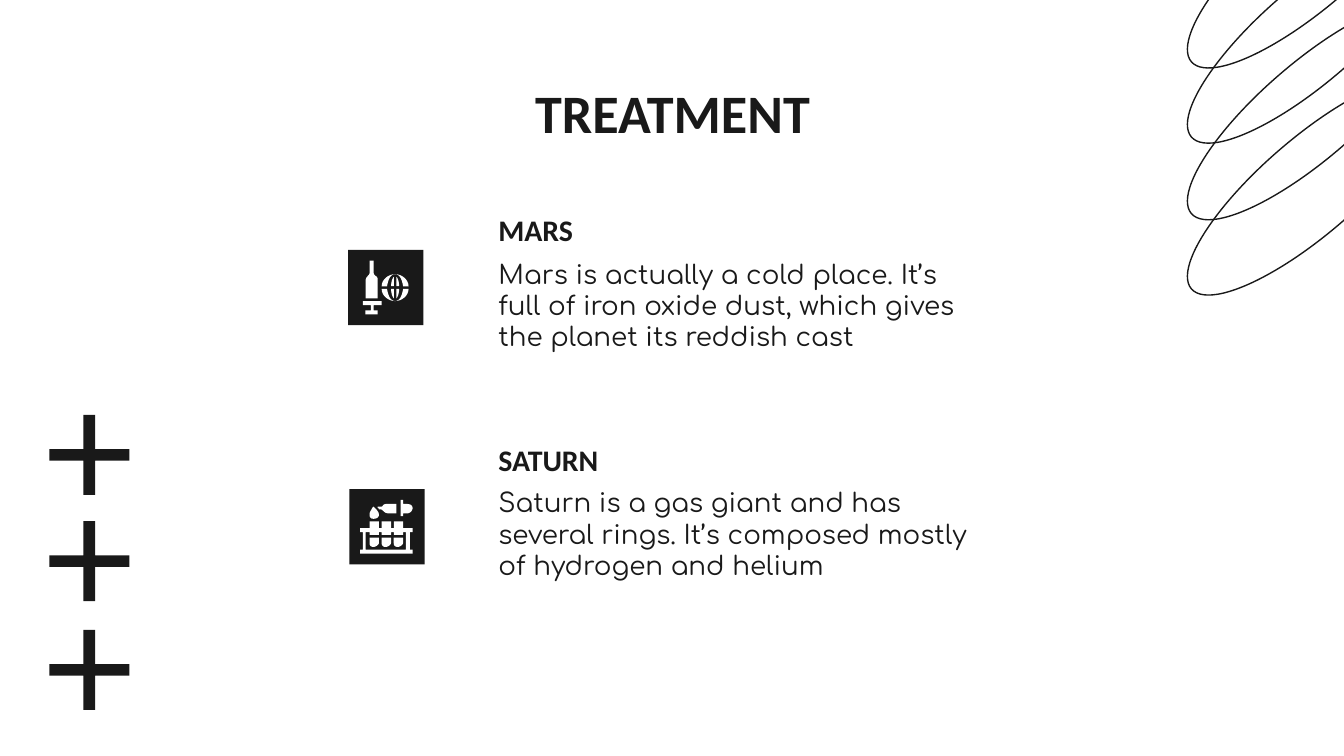
"""Build the treatment slide with two icon-led topics."""
from pptx import Presentation
from pptx.dml.color import RGBColor
from pptx.enum.shapes import MSO_SHAPE
from pptx.enum.text import MSO_ANCHOR, PP_ALIGN
from pptx.util import Inches, Pt

INK = RGBColor(0x19, 0x19, 0x19)
WHITE = RGBColor(0xFF, 0xFF, 0xFF)
OVAL, PLUS, RECT = MSO_SHAPE.OVAL, MSO_SHAPE.MATH_PLUS, MSO_SHAPE.RECTANGLE
TOP, BOTTOM = MSO_ANCHOR.TOP, MSO_ANCHOR.BOTTOM
LEFT, CENTER = PP_ALIGN.LEFT, PP_ALIGN.CENTER
STEPS = 8

deck = Presentation()
deck.slide_width = Inches(10)
deck.slide_height = Inches(10 * 9 / 16)
slide = deck.slides.add_slide(deck.slide_layouts[6])
shapes = slide.shapes


def trace(group, *loops):
    """Fill closed loops; pairs are corners, six numbers are a cubic curve."""
    pen = None
    for loop in loops:
        points = [loop[0]]
        for part in loop[1:]:
            if len(part) == 2:
                points.append(part)
                continue
            knots = [points[-1], part[:2], part[2:4], part[4:]]
            for step in range(1, STEPS + 1):
                t = step / STEPS
                weights = ((1 - t) ** 3, 3 * t * (1 - t) ** 2, 3 * t * t * (1 - t), t ** 3)
                points.append(tuple(sum(w * k[axis] for w, k in zip(weights, knots))
                                    for axis in (0, 1)))
        spots = [(Inches(x), Inches(y)) for x, y in points]
        if pen is None:
            pen = group.shapes.build_freeform(*spots[0])
        else:
            pen.move_to(*spots[0])
        pen.add_line_segments(spots[1:], close=True)
    form = pen.convert_to_shape()
    form.shadow.inherit = False
    form.fill.solid()
    form.fill.fore_color.rgb = WHITE
    form.line.fill.background()


def write(words, box, size, font, bold=False, anchor=TOP, align=LEFT):
    frame = shapes.add_textbox(*map(Inches, box)).text_frame
    frame.word_wrap = True
    frame.vertical_anchor = anchor
    frame.margin_left = frame.margin_right = Inches(0.1)
    frame.margin_top = frame.margin_bottom = Inches(0.1)
    line = frame.paragraphs[0]
    line.text = words
    line.alignment = align
    line.font.size, line.font.name, line.font.bold = Pt(size), font, bold
    line.font.color.rgb = INK


rings = shapes.add_group_shape()
for top in (0.47, 1.03, -0.1, -0.66):
    ring = rings.shapes.add_shape(OVAL, Inches(8.58), Inches(top), Inches(2.34), Inches(0.71))
    ring.rotation = 139.2
    ring.shadow.inherit = False
    ring.fill.background()
    ring.line.color.rgb = INK
    ring.line.width = Pt(0.75)

for top in (2.98, 3.77, 4.58):
    plus = shapes.add_shape(PLUS, Inches(0.26), Inches(top), Inches(0.81), Inches(0.81))
    plus.adjustments[0] = 0.107
    plus.shadow.inherit = False
    plus.fill.solid()
    plus.fill.fore_color.rgb = INK
    plus.line.fill.background()

write("TREATMENT", (0.79, 0.49, 8.43, 0.63), 29, "Calibri", True, align=CENTER)
topics = [
    ("MARS", 1.46, 1.82, "Mars is actually a cold place. It’s full of iron oxide dust, "
     "which gives the planet its reddish cast"),
    ("SATURN", 3.17, 3.52, "Saturn is a gas giant and has several rings. It’s composed "
     "mostly of hydrogen and helium"),
]
for name, head, body, words in topics:
    write(name, (3.61, head, 3.79, 0.48), 16, "Calibri", True, BOTTOM)
    write(words, (3.61, body, 3.79, 1.05), 14, "Comfortaa")

icons = []
for left, top in ((2.59, 1.86), (2.6, 3.64)):
    icon = shapes.add_group_shape()
    tile = icon.shapes.add_shape(RECT, Inches(left), Inches(top), Inches(0.56), Inches(0.56))
    tile.shadow.inherit = False
    tile.fill.solid()
    tile.fill.fore_color.rgb = INK
    tile.line.fill.background()
    icons.append(icon)
needle, lab = icons

outer = [(2.94, 2.04), (2.89, 2.04, 2.84, 2.08, 2.84, 2.13), (2.88, 2.13),
         (2.89, 2.07, 2.91, 2.04, 2.94, 2.04)]
inner = [(2.93, 2.06), (2.92, 2.07, 2.91, 2.1, 2.91, 2.13), (2.93, 2.13)]
for flip_x in (False, True):
    for flip_y in (False, True):
        mirror = ((5.88, -1) if flip_x else (0, 1), (4.28, -1) if flip_y else (0, 1))
        for wedge in (outer, inner):
            trace(needle, [tuple(mirror[i % 2][0] + mirror[i % 2][1] * value
                                 for i, value in enumerate(part)) for part in wedge])

trace(needle, [(2.75, 1.94), (2.75, 2.03), (2.75, 2.03, 2.75, 2.04, 2.74, 2.05),
               (2.73, 2.06, 2.72, 2.07, 2.72, 2.09), (2.72, 2.22), (2.81, 2.22), (2.81, 2.09),
               (2.81, 2.07, 2.81, 2.06, 2.79, 2.05), (2.78, 2.04, 2.78, 2.03, 2.78, 2.03),
               (2.78, 1.94)])
trace(needle, [(2.7, 2.24), (2.7, 2.27), (2.76, 2.27), (2.76, 2.31), (2.72, 2.31), (2.72, 2.34),
               (2.81, 2.34), (2.81, 2.31), (2.78, 2.31), (2.78, 2.27), (2.84, 2.27), (2.84, 2.24)])

hole = [(3.02, 3.96), (3.02, 4.09), (2.72, 4.09), (2.72, 3.96)]
rack = [(3.07, 3.93), (3.07, 3.96), (3.05, 3.96), (3.05, 4.09), (3.07, 4.09), (3.07, 4.12),
        (2.68, 4.12), (2.68, 4.09), (2.7, 4.09), (2.7, 3.96), (2.68, 3.96), (2.68, 3.93)]
for x in (2.75, 2.84, 2.93):
    end = x + 0.07
    hole += [(x, 3.96), (x, 3.98), (end, 3.98), (end, 3.96)]
    rack += [(x, 3.93), (x, 3.88), (end, 3.88), (end, 3.93)]
    trace(lab, [(x, 4), (x, 4.04), (x, 4.06, x + 0.01, 4.07, x + 0.03, 4.07),
                (x + 0.05, 4.07, end, 4.05, end, 4.04), (end, 4)])
trace(lab, hole, rack)

trace(lab, [(2.78, 3.77), (2.77, 3.78), (2.76, 3.8, 2.75, 3.81, 2.75, 3.83),
            (2.75, 3.85, 2.76, 3.86, 2.78, 3.86), (2.8, 3.86, 2.82, 3.85, 2.82, 3.83),
            (2.82, 3.81, 2.8, 3.79, 2.79, 3.78)])
trace(lab, [(2.98, 3.72), (2.98, 3.84), (3, 3.84), (3, 3.82), (3.03, 3.82),
            (3.05, 3.82, 3.07, 3.8, 3.07, 3.78), (3.07, 3.76, 3.05, 3.75, 3.03, 3.75),
            (3, 3.75), (3, 3.72)])
trace(lab, [(2.89, 3.75), (2.87, 3.75, 2.86, 3.75, 2.85, 3.76),
            (2.85, 3.77, 2.84, 3.77, 2.83, 3.77), (2.81, 3.77),
            (2.81, 3.77, 2.81, 3.77, 2.81, 3.78), (2.82, 3.78, 2.82, 3.79, 2.82, 3.79),
            (2.83, 3.79), (2.84, 3.79, 2.85, 3.8, 2.85, 3.8),
            (2.86, 3.81, 2.87, 3.82, 2.89, 3.82), (2.95, 3.82), (2.95, 3.75)])

deck.save("out.pptx")
